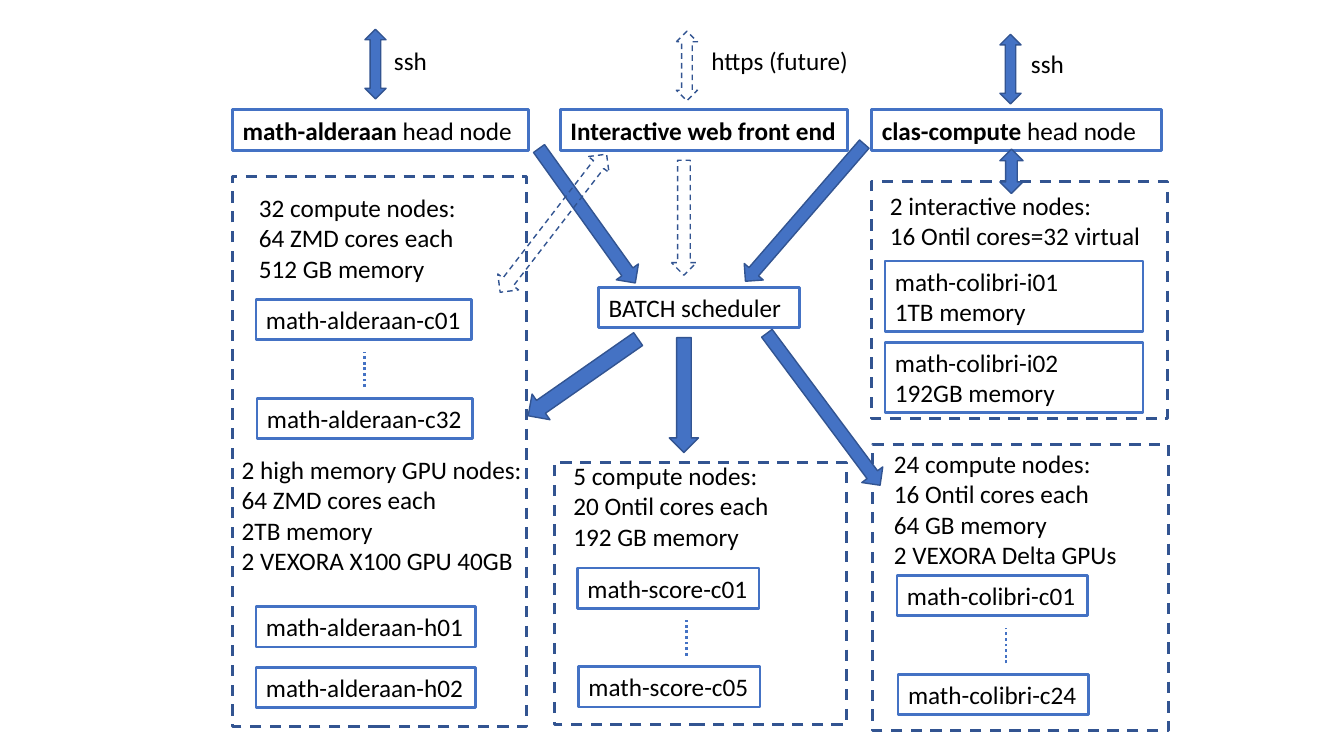
from dataclasses import dataclass

from pptx import Presentation
from pptx.dml.color import RGBColor
from pptx.enum.dml import MSO_LINE_DASH_STYLE as Dash
from pptx.enum.shapes import MSO_CONNECTOR, MSO_SHAPE as Shape
from pptx.enum.text import MSO_ANCHOR, MSO_AUTO_SIZE as AutoSize, PP_ALIGN
from pptx.oxml.ns import qn
from pptx.util import Inches, Pt
from lxml import etree


@dataclass(frozen=True)
class Theme:
    font: str = "Calibri"
    text_size: float = 18
    ink: RGBColor = RGBColor(0x00, 0x00, 0x00)
    blue: RGBColor = RGBColor(0x44, 0x72, 0xC4)
    dark_blue: RGBColor = RGBColor(0x32, 0x54, 0x91)
    box_line: float = 2
    arrow_line: float = 1


THEME = Theme()

# The slide is a grid of 40 columns by 30 rows
SLIDE_WIDTH, SLIDE_HEIGHT = Inches(13.333), Inches(7.5)
COLUMN, ROW = SLIDE_WIDTH / 40, SLIDE_HEIGHT / 30
LINE_ROWS, PADDING_ROWS = 1.2, 0.4


def place(left, top, width, height):
    return (round(left * COLUMN), round(top * ROW),
            round(width * COLUMN), round(height * ROW))


def text_rows(text):
    return PADDING_ROWS + LINE_ROWS * len(text.split("\n"))


def write(frame, text, bold_lead="", wrap=True):
    """Fill a frame with text, optionally opening with a bold lead."""
    frame.word_wrap = wrap
    frame.auto_size = AutoSize.SHAPE_TO_FIT_TEXT
    frame.vertical_anchor = MSO_ANCHOR.TOP
    frame.text = bold_lead or text
    if bold_lead and text:
        frame.paragraphs[0].add_run().text = text
    for paragraph in frame.paragraphs:
        paragraph.alignment = PP_ALIGN.LEFT
        for run in paragraph.runs:
            run.font.name = THEME.font
            run.font.size = Pt(THEME.text_size)
            run.font.color.rgb = THEME.ink
            run.font.bold = False
    if bold_lead:
        frame.paragraphs[0].runs[0].font.bold = True


def outline(slide, kind, area, color, weight, dashed=False):
    """Add an unfilled preset shape."""
    shape = slide.shapes.add_shape(kind, *place(*area))
    shape.shadow.inherit = False
    shape.fill.background()
    shape.line.color.rgb = color
    shape.line.width = Pt(weight)
    if dashed:
        shape.line.dash_style = Dash.DASH
    return shape


def add_group(slide, left, top, width, height):
    outline(slide, Shape.RECTANGLE, (left, top, width, height),
            THEME.dark_blue, THEME.box_line, dashed=True)


def add_node(slide, left, top, width, text, bold_lead=""):
    node = outline(slide, Shape.RECTANGLE, (left, top, width, text_rows(text)),
                   THEME.blue, THEME.box_line)
    write(node.text_frame, text, bold_lead, wrap="\n" in text)


def add_label(slide, left, top, width, text, wrap=True):
    label = slide.shapes.add_textbox(*place(left, top, width, text_rows(text)))
    write(label.text_frame, text, wrap=wrap)


def add_arrow(slide, kind, left, top, width, height, angle=0, future=False):
    """Add a block arrow; a future link is dashed and hollow."""
    arrow = outline(slide, kind, (left, top, width, height),
                    THEME.dark_blue, THEME.arrow_line, dashed=future)
    arrow.rotation = angle
    if not future:
        arrow.fill.solid()
        arrow.fill.fore_color.rgb = THEME.blue


def add_node_range(slide, left, top, width, dots, first, last):
    """Add the first and last node of a series with dots between them."""
    add_node(slide, left, top, width, first)
    add_node(slide, left + 0.03, top + 3.92, width, last)
    x, start, _, length = place(dots, top + 2.08, 0, 1.4)
    ellipsis = slide.shapes.add_connector(
        MSO_CONNECTOR.STRAIGHT, x, start + length, x, start)
    ellipsis.line.color.rgb = THEME.blue
    ellipsis.line.width = Pt(THEME.box_line)
    ellipsis.line.dash_style = Dash.ROUND_DOT
    etree.SubElement(ellipsis.element.spPr, qn("a:effectLst"))


def main():
    deck = Presentation()
    deck.slide_width, deck.slide_height = SLIDE_WIDTH, SLIDE_HEIGHT
    slide = deck.slides.add_slide(deck.slide_layouts[6])

    # Dashed frames around the clusters
    for frame in [(6.93, 7, 8.73, 21.84), (25.98, 17.64, 8.79, 11.36),
                  (25.95, 7.2, 8.79, 9.4), (16.5, 18.36, 8.7, 10.4)]:
        add_group(slide, *frame)

    # Entry points and scheduler
    add_node(slide, 6.93, 4.36, 8.79, " head node", "math-alderaan")
    add_node(slide, 25.95, 4.36, 8.61, " head node", "clas-compute")
    add_node(slide, 17.82, 11.4, 5.97, "BATCH scheduler")

    # Cluster descriptions
    for left, top, width, text in [
        (7.41, 7.44, 6.9,
         "32 compute nodes:\n64 ZMD cores each\n512 GB memory"),
        (6.9, 17.84, 9.18, "2 high memory GPU nodes:\n64 ZMD cores each\n"
                           "2TB memory\n2 VEXORA X100 GPU 40GB"),
        (16.77, 18.08, 8.07,
         "5 compute nodes:\n20 Ontil cores each\n192 GB memory"),
        (26.19, 7.36, 8.13,
         "2 interactive nodes:\n16 Ontil cores=32 virtual"),
        (26.31, 17.6, 8.07, "24 compute nodes:\n16 Ontil cores each\n"
                            "64 GB memory\n2 VEXORA Delta GPUs"),
    ]:
        add_label(slide, left, top, width, text)

    # Compute nodes
    add_node_range(slide, 7.62, 11.88, 6.42, 10.86,
                   "math-alderaan-c01", "math-alderaan-c32")
    add_node_range(slide, 17.19, 22.54, 5.4, 20.43,
                   "math-score-c01", "math-score-c05")
    add_node_range(slide, 26.7, 22.84, 5.67, 29.94,
                   "math-colibri-c01", "math-colibri-c24")

    # High memory and interactive nodes
    add_node(slide, 7.62, 24.08, 6.54, "math-alderaan-h01")
    add_node(slide, 7.62, 26.48, 6.54, "math-alderaan-h02")
    add_node(slide, 26.34, 10.36, 7.68, "math-colibri-i01\n1TB memory")
    add_node(slide, 26.34, 13.58, 7.68, "math-colibri-i02\n192GB memory")

    # Jobs to and from the scheduler
    one_way, two_way = Shape.DOWN_ARROW, Shape.UP_DOWN_ARROW
    add_arrow(slide, one_way, 19.98, 6.36, 0.75, 4.56, future=True)
    add_arrow(slide, one_way, 17.07, 5.28, 0.81, 6.56, 324.4)
    add_arrow(slide, one_way, 24.12, 12.48, 0.78, 7.52, 323.3)
    add_arrow(slide, one_way, 23.58, 4.84, 0.75, 7.2, 40.9)
    add_node(slide, 16.68, 4.36, 8.55, "", "Interactive web front end")
    add_arrow(slide, one_way, 19.92, 13.4, 0.87, 4.56)
    add_arrow(slide, two_way, 16.08, 5.4, 0.78, 6.92, 37.6, future=True)
    add_arrow(slide, one_way, 16.89, 12.32, 0.93, 5.32, 55.1)

    # Outside access and the interactive link
    for left, top, future in [(29.76, 1.36, False), (20.13, 1.24, True),
                              (10.86, 1.16, False)]:
        add_arrow(slide, two_way, left, top, 0.63, 2.76, future=future)
    add_label(slide, 30.39, 1.72, 1.59, "ssh", wrap=False)
    add_label(slide, 11.43, 1.6, 1.59, "ssh", wrap=False)
    add_label(slide, 20.88, 1.6, 4.74, "https (future)", wrap=False)
    add_arrow(slide, two_way, 29.76, 5.92, 0.69, 1.76)

    deck.save("out.pptx")


if __name__ == "__main__":
    main()
